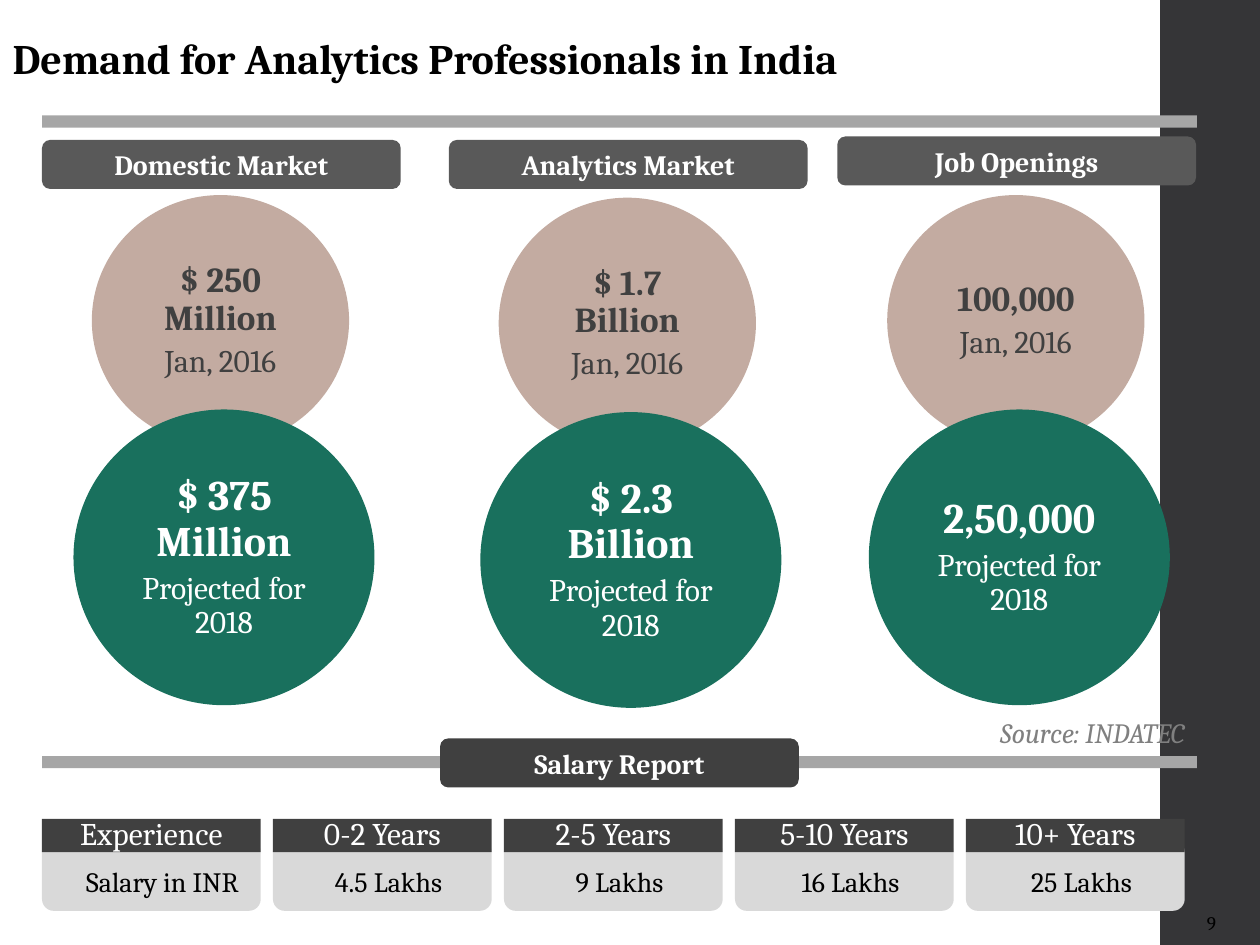
from dataclasses import dataclass

from pptx import Presentation
from pptx.dml.color import RGBColor
from pptx.enum.shapes import MSO_SHAPE
from pptx.enum.text import MSO_ANCHOR, PP_ALIGN
from pptx.util import Pt

RECTANGLE = MSO_SHAPE.RECTANGLE
ROUNDED = MSO_SHAPE.ROUNDED_RECTANGLE
OVAL = MSO_SHAPE.OVAL
LEFT, CENTER, RIGHT = PP_ALIGN.LEFT, PP_ALIGN.CENTER, PP_ALIGN.RIGHT
TOP, MIDDLE = MSO_ANCHOR.TOP, MSO_ANCHOR.MIDDLE
TITLE_ONLY = 5


@dataclass(frozen=True)
class Theme:
    """Colours, font and type sizes of the slide."""
    font: str = "Cambria"
    white: str = "FFFFFF"
    black: str = "000000"
    strip: str = "353537"
    rule: str = "A6A6A6"
    heading: str = "595959"
    dark: str = "404040"
    card: str = "D9D9D9"
    source: str = "808080"
    today: str = "C3ABA1"
    future: str = "19705D"
    large: int = 24
    figure: int = 20
    caption: int = 18
    label: int = 16
    small: int = 11


THEME = Theme()
MARGIN = 24
RULE_WIDTH = 660
HEADING_WIDTH = 205
CARD_WIDTH = 125
CARD_PITCH = 132
MARKETS = [
    (24, 80, 111.5, "Domestic Market", "$ 250 Million", "$ 375 Million"),
    (256.5, 80, 113, "Analytics Market", "$ 1.7 Billion", "$ 2.3 Billion"),
    (478.5, 78, 111.5, "Job Openings", "100,000", "2,50,000"),
]
SALARIES = [
    ("Experience", "Salary in INR"),
    ("0-2 Years", "4.5 Lakhs"),
    ("2-5 Years", "9 Lakhs"),
    ("5-10 Years", "16 Lakhs"),
    ("10+ Years", "25 Lakhs"),
]


def style_paragraph(para, size, color, bold=False, italic=False, align=CENTER):
    """Format a paragraph and all its runs."""
    para.alignment = align
    for span in para.runs:
        font = span.font
        font.name, font.size = THEME.font, Pt(size)
        font.bold, font.italic = bold, italic
        font.color.rgb = RGBColor.from_string(color)


def set_margins(frame, margin):
    """Give a text frame the same margin on every side."""
    frame.margin_left = frame.margin_right = Pt(margin)
    frame.margin_top = frame.margin_bottom = Pt(margin)


def add_block(page, kind, left, top, width, height, fill):
    """Add a flat filled shape without outline."""
    block = page.shapes.add_shape(kind, Pt(left), Pt(top), Pt(width), Pt(height))
    block.shadow.inherit = False
    block.fill.solid()
    block.fill.fore_color.rgb = RGBColor.from_string(fill)
    block.line.fill.background()
    return block


def add_label(page, text, left, top, width, height, size, color, **style):
    """Add a one-line text box."""
    box = page.shapes.add_textbox(Pt(left), Pt(top), Pt(width), Pt(height))
    frame = box.text_frame
    frame.word_wrap = True
    frame.vertical_anchor = TOP
    frame.text = text
    style_paragraph(frame.paragraphs[0], size, color, **style)


def add_title(page, text):
    """Place and format the slide title."""
    title = page.shapes.title
    title.left, title.top, title.width, title.height = Pt(0), Pt(15), Pt(558), Pt(37)
    frame = title.text_frame
    frame.text = text
    frame.vertical_anchor = TOP
    style_paragraph(frame.paragraphs[0], THEME.large, THEME.black, bold=True, align=LEFT)


def add_heading(page, text, left, top, fill):
    """Add a rounded heading bar."""
    bar = add_block(page, ROUNDED, left, top, HEADING_WIDTH, 28, fill)
    bar.text_frame.text = text
    style_paragraph(bar.text_frame.paragraphs[0], THEME.label, THEME.white, bold=True)


def add_bubble(page, left, top, width, height, fill, figure, caption, size, color):
    """Add a circle with a bold figure above a caption."""
    bubble = add_block(page, OVAL, left, top, width, height, fill)
    frame = bubble.text_frame
    set_margins(frame, 4.5)
    frame.vertical_anchor = MIDDLE
    frame.text = f"{figure}\n{caption}"
    first, second = frame.paragraphs
    style_paragraph(first, size, color, bold=True)
    style_paragraph(second, THEME.caption, color)
    first.space_after = Pt(4)
    for para in frame.paragraphs:
        para.line_spacing = 0.9


def add_market(page, left, heading_top, bubble_top, heading, today, future):
    """Add one market column: two bubbles under a heading."""
    add_bubble(page, left + 28.5, bubble_top, 147, 143.5, THEME.today,
               today, "Jan, 2016", THEME.figure, THEME.dark)
    add_bubble(page, left + 18, bubble_top + 122.5, 172, 169, THEME.future,
               future, "Projected for 2018", THEME.large, THEME.white)
    add_heading(page, heading, left, heading_top, THEME.heading)


def add_salary_card(page, index, experience, salary):
    """Add one salary card with its dark header."""
    left = MARGIN + index * CARD_PITCH
    add_block(page, ROUNDED, left, 480, CARD_WIDTH, 40.5, THEME.card)
    header = add_block(page, RECTANGLE, left, 468, CARD_WIDTH, 19, THEME.dark)
    frame = header.text_frame
    set_margins(frame, 4.5)
    frame.text = experience
    style_paragraph(frame.paragraphs[0], THEME.caption, THEME.white)
    frame.paragraphs[0].line_spacing = 0.9
    add_label(page, salary, left + 12.5, 490.5, 107, 26.5, THEME.label, THEME.black,
              align=CENTER if index else RIGHT)


def main():
    """Build the slide and save the deck."""
    deck = Presentation()
    deck.slide_width, deck.slide_height = Pt(720), Pt(540)
    page = deck.slides.add_slide(deck.slide_layouts[TITLE_ONLY])
    add_block(page, RECTANGLE, 663, 0, 57, 540, THEME.strip)
    add_title(page, "Demand for Analytics Professionals in India")
    for market in MARKETS:
        add_market(page, *market)
    for top in (66, 432):
        add_block(page, RECTANGLE, MARGIN, top, RULE_WIDTH, 7, THEME.rule)
    add_label(page, "Source: INDATEC", 479.5, 405.5, 204.5, 26.5, THEME.label,
              THEME.source, italic=True, align=RIGHT)
    add_heading(page, "Salary Report", 251.5, 422, THEME.dark)
    for index, (experience, salary) in enumerate(SALARIES):
        add_salary_card(page, index, experience, salary)
    add_label(page, "9", 534, 517, 168, 23, THEME.small, THEME.black, align=RIGHT)
    deck.save("out.pptx")


if __name__ == "__main__":
    main()
